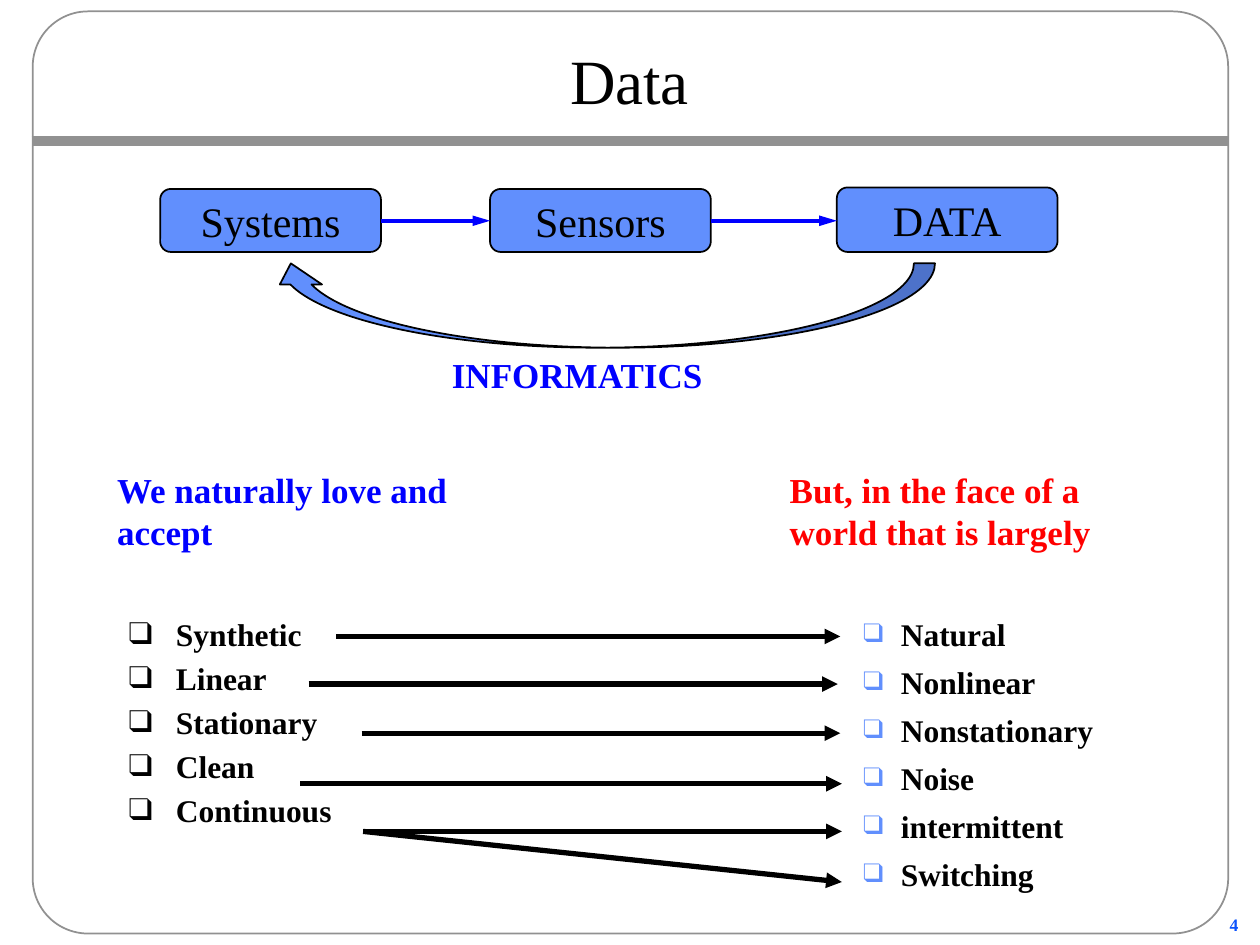
from lxml import etree
from pptx import Presentation
from pptx.dml.color import RGBColor
from pptx.enum import shapes, text
from pptx.oxml import ns
from pptx.util import Cm, Pt

COLORS = {
    "black": "000000",
    "gray": "919191",
    "blue": "0000FF",
    "red": "FF0000",
    "box": "618FFD",
    "number": "0B52FC",
}
FONT = "Times New Roman"
BULLET = "❑"
LEFT_TERMS = ["Synthetic", "Linear", "Stationary", "Clean", "Continuous"]
RIGHT_TERMS = ["Natural", "Nonlinear", "Nonstationary", "Noise", "intermittent", "Switching"]
TERM_ARROWS = [
    (6.78, 12.83, 16.94, 12.83),
    (6.22, 13.79, 16.89, 13.79),
    (7.29, 14.78, 16.94, 14.78),
    (6.05, 15.8, 16.97, 15.8),
    (7.32, 16.76, 16.97, 16.76),
    (7.32, 16.76, 16.97, 17.78),
]
BOXES = [
    ("Systems", 3.23, 3.81, 1.27),
    ("Sensors", 9.88, 3.81, 1.27),
    ("DATA", 16.87, 3.78, 1.3),
]
BOX_WIDTH = 4.45
FLOW_Y = 4.45


def rgb(name):
    return RGBColor.from_string(COLORS[name])


def add_element(parent, tag, **attributes):
    return etree.SubElement(parent, ns.qn(tag), **attributes)


def place(shape, left, top, width, height):
    shape.left, shape.top = Cm(left), Cm(top)
    shape.width, shape.height = Cm(width), Cm(height)


def add_bullet(paragraph, indent, color=None, percent=None):
    properties = paragraph._p.get_or_add_pPr()
    properties.set("marL", str(Cm(indent)))
    properties.set("indent", str(-Cm(indent)))
    if color:
        add_element(add_element(properties, "a:buClr"), "a:srgbClr", val=COLORS[color])
    if percent:
        add_element(properties, "a:buSzPct", val=str(percent * 1000))
    add_element(properties, "a:buFont", typeface=FONT)
    add_element(properties, "a:buChar", char=BULLET)


def write(shape, lines, size=20, color="black", bold=False, align=text.PP_ALIGN.LEFT,
          anchor=text.MSO_ANCHOR.TOP, space=0, bullet=None):
    frame = shape.text_frame
    frame.word_wrap = True
    frame.auto_size = text.MSO_AUTO_SIZE.NONE
    frame.vertical_anchor = anchor
    for index, line in enumerate(lines):
        paragraph = frame.add_paragraph() if index else frame.paragraphs[0]
        if bullet:
            add_bullet(paragraph, **bullet)
        paragraph.alignment = align
        paragraph.space_before = Pt(space if index else 0)
        run = paragraph.add_run()
        run.text = line
        run.font.name = FONT
        run.font.size = Pt(size)
        run.font.bold = bold
        run.font.color.rgb = rgb(color)


def add_text(slide, lines, left, top, width, height, **style):
    write(slide.shapes.add_textbox(Cm(left), Cm(top), Cm(width), Cm(height)), lines, **style)


def add_line(slide, x1, y1, x2, y2, color, weight, head=None):
    line = slide.shapes.add_connector(
        shapes.MSO_CONNECTOR.STRAIGHT, Cm(x1), Cm(y1), Cm(x2), Cm(y2))
    line.line.color.rgb = rgb(color)
    line.line.width = Pt(weight)
    if head:
        add_element(line.line._get_or_add_ln(), "a:tailEnd", type="triangle", w="med", len=head)
    add_element(line._element.spPr, "a:effectLst")


def add_preset(slide, kind, left, top, width, height, fill=None, line="black"):
    shape = slide.shapes.add_shape(kind, Cm(left), Cm(top), Cm(width), Cm(height))
    shape.shadow.inherit = False
    if fill:
        shape.fill.solid()
        shape.fill.fore_color.rgb = rgb(fill)
    else:
        shape.fill.background()
    shape.line.color.rgb = rgb(line)
    shape.line.width = Pt(1)
    return shape


def add_frame(slide):
    add_line(slide, 0.64, 2.84, 24.77, 2.84, "gray", 6)
    frame = add_preset(slide, shapes.MSO_SHAPE.ROUNDED_RECTANGLE,
                       0.66, 0.23, 24.1, 18.59, line="gray")
    frame.adjustments[0] = 0.06
    add_text(slide, ["4"], 24.33, 18.31, 1.09, 0.69, size=10, color="number", bold=True,
             align=text.PP_ALIGN.CENTER)


def add_flow(slide):
    for label, left, top, height in BOXES:
        box = add_preset(slide, shapes.MSO_SHAPE.ROUNDED_RECTANGLE,
                         left, top, BOX_WIDTH, height, fill="box")
        write(box, [label], size=24, align=text.PP_ALIGN.CENTER, anchor=text.MSO_ANCHOR.MIDDLE)
    for start, end in zip(BOXES, BOXES[1:]):
        add_line(slide, start[1] + BOX_WIDTH, FLOW_Y, end[1], FLOW_Y, "blue", 2, head="lg")
    feedback = add_preset(slide, shapes.MSO_SHAPE.CURVED_UP_ARROW,
                          5.44, 5.31, 13.41, 1.7, fill="box")
    feedback._element.spPr.xfrm.set("flipH", "1")
    add_text(slide, ["INFORMATICS"], 8.86, 7.01, 7.19, 1.12, color="blue", bold=True)


def add_comparison(slide, body):
    place(body, 2.34, 12.27, 6.99, 7.42)
    write(body, LEFT_TERMS, size=18, bold=True, space=3.6, bullet={"indent": 0.95})
    add_text(slide, RIGHT_TERMS, 17.15, 12.27, 6.99, 8.05, size=18, bold=True, space=5.8,
             bullet={"indent": 0.76, "color": "box", "percent": 85})
    for points in TERM_ARROWS:
        add_line(slide, *points, "black", 3, head="med")
    add_text(slide, ["We naturally love and accept"], 2.11, 9.32, 7.19, 1.96,
             color="blue", bold=True)
    add_text(slide, ["But, in the face of a world that is largely"], 15.67, 9.32, 7.42, 1.96,
             color="red", bold=True)


def main():
    presentation = Presentation()
    presentation.slide_width, presentation.slide_height = Cm(25.4), Cm(19.05)
    slide = presentation.slides.add_slide(presentation.slide_layouts[1])
    title, body = slide.placeholders
    add_frame(slide)
    place(title, 3.38, 0.64, 18.62, 1.9)
    write(title, ["Data"], size=36, align=text.PP_ALIGN.CENTER, anchor=text.MSO_ANCHOR.MIDDLE)
    add_flow(slide)
    add_comparison(slide, body)
    presentation.save("out.pptx")


if __name__ == "__main__":
    main()
